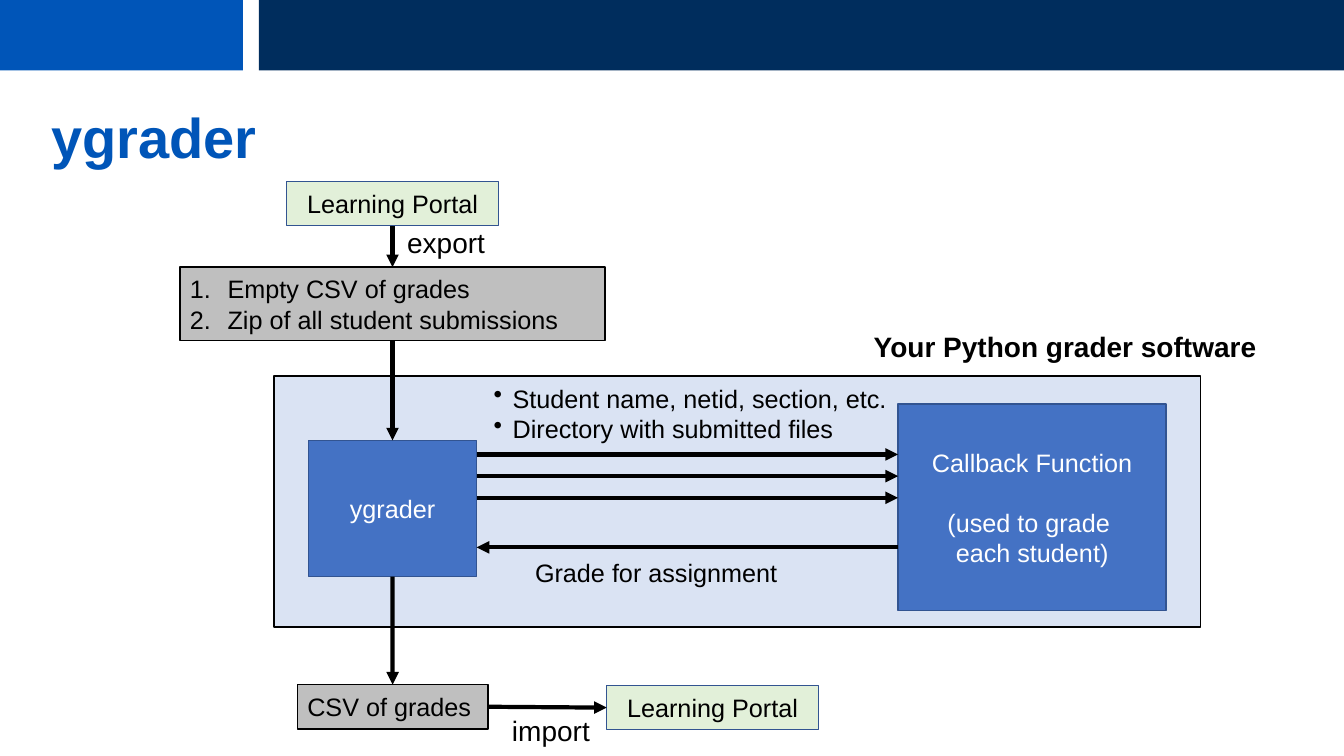
from dataclasses import dataclass

from lxml import etree
from pptx import Presentation, util as u
from pptx.dml.color import RGBColor
from pptx.enum import shapes, text
from pptx.oxml.ns import qn

BLACK, WHITE = "000000", "FFFFFF"
BRIGHT_BLUE, NAVY = "0055B8", "002D5D"
GREY, GREEN, PALE_BLUE, BLUE, EDGE = "BFBFBF", "E2F0D9", "DAE3F3", "4472C4", "325491"
LEFT, CENTER = text.PP_ALIGN.LEFT, text.PP_ALIGN.CENTER
TOP, BOTTOM, LEFT_SIDE, RIGHT_SIDE = 0, 2, 1, 3
NUMBERED = ("a:buAutoNum", "type", "arabicPeriod", 27)
BULLETED = ("a:buChar", "char", "•", 13.5)


@dataclass
class Box:
    name: str
    place: tuple[float, float, float, float]
    fill: str
    edge: str | None = None
    lines: tuple[str, ...] = ()
    color: str = BLACK
    align: text.PP_ALIGN = CENTER
    marker: tuple | None = None
    gap_before: tuple[float, ...] = ()


@dataclass
class Label:
    place: tuple[float, float, float, float]
    lines: tuple[str, ...]
    size: float = 18
    color: str = BLACK
    bold: bool = False
    marker: tuple | None = None
    title: bool = False


BOXES = [
    Box("left banner", (0, 0, 173.5, 50.4), BRIGHT_BLUE),
    Box("right banner", (185, 0, 775, 50.4), NAVY),
    Box("submissions", (128.5, 190.8, 303.8, 52.4), GREY, BLACK,
        ("Empty CSV of grades", "Zip of all student submissions"),
        align=LEFT, marker=NUMBERED),
    Box("software", (195.8, 268.6, 661.7, 179.3), PALE_BLUE, BLACK),
    Box("ygrader", (220.3, 314.6, 120.2, 97.2), BLUE, EDGE, ("ygrader",), WHITE),
    Box("callback", (641.5, 288.7, 191.5, 147.6), BLUE, EDGE,
        ("Callback Function", "(used to grade ", "each student)"), WHITE,
        gap_before=(0, 21, 0)),
    Box("import suite", (433.4, 489.6, 151.2, 31.7), GREEN, EDGE, ("Learning Portal",)),
    Box("grades", (212.4, 489, 136.1, 31.7), GREY, BLACK, ("CSV of grades",), align=LEFT),
    Box("export suite", (204.8, 129.6, 151.2, 31.7), GREEN, EDGE, ("Learning Portal",)),
]

LABELS = [
    Label((29.5, 74.9, 900.7, 50.4), ("ygrader",), 40, BRIGHT_BLUE, True, title=True),
    Label((283.7, 157.7, 70.6, 31.5), ("export",), 20),
    Label((358.6, 506.2, 70.6, 31.5), ("import",), 20),
    Label((345.6, 270, 297.4, 50.9),
          ("Student name, netid, section, etc.", "Directory with submitted files"),
          marker=BULLETED),
    Label((375.1, 394.6, 189.4, 29.1), ("Grade for assignment",)),
    Label((617, 231.8, 290.2, 31.5), ("Your Python grader software",), 20, bold=True),
]

FLOWS = [
    ("export suite", BOTTOM, "submissions", TOP),
    ("submissions", BOTTOM, "ygrader", TOP),
    ("ygrader", BOTTOM, "grades", TOP),
    ("grades", RIGHT_SIDE, "import suite", LEFT_SIDE),
]

YGRADER_EDGE, CALLBACK_EDGE = 340.5, 641.5
CALL_HEIGHTS = [324.6 + 15.5 * row for row in range(3)]
RETURN_HEIGHT = 391


def rgb(value: str) -> RGBColor:
    return RGBColor.from_string(value)


def points(values: tuple) -> list:
    return [u.Pt(value) for value in values]


def write_lines(frame, lines: tuple, size: float, color: str, bold: bool = False,
                align=LEFT, marker: tuple | None = None, gaps: tuple = ()) -> None:
    font_format = {"name": "Arial", "size": u.Pt(size), "bold": bold}
    for index, line in enumerate(lines):
        para = frame.paragraphs[0] if index == 0 else frame.add_paragraph()
        para.alignment = align
        if gaps:
            para.space_before = u.Pt(gaps[index])
        span = para.add_run()
        span.text = line
        for key, value in font_format.items():
            setattr(span.font, key, value)
        span.font.color.rgb = rgb(color)
        if marker:
            tag, key, value, indent = marker
            props = para._p.get_or_add_pPr()
            props.set("marL", str(u.Pt(indent)))
            props.set("indent", str(-u.Pt(indent)))
            etree.SubElement(props, qn(tag)).set(key, value)


def draw_box(page, box: Box):
    shape = page.shapes.add_shape(shapes.MSO_SHAPE.RECTANGLE, *points(box.place))
    shape.shadow.inherit = False
    shape.fill.solid()
    shape.fill.fore_color.rgb = rgb(box.fill)
    if box.edge:
        shape.line.color.rgb = rgb(box.edge)
        shape.line.width = u.Pt(1)
    else:
        shape.line.fill.background()
    shape.text_frame.vertical_anchor = text.MSO_ANCHOR.MIDDLE
    write_lines(shape.text_frame, box.lines, 18, box.color, align=box.align,
                marker=box.marker, gaps=box.gap_before)
    return shape


def draw_label(page, label: Label) -> None:
    frame = page.shapes.add_textbox(*points(label.place)).text_frame
    if label.title:
        frame_format = {"word_wrap": True, "vertical_anchor": text.MSO_ANCHOR.MIDDLE}
    else:
        frame_format = {"word_wrap": False,
                        "auto_size": text.MSO_AUTO_SIZE.SHAPE_TO_FIT_TEXT}
    for key, value in frame_format.items():
        setattr(frame, key, value)
    write_lines(frame, label.lines, label.size, label.color, label.bold,
                marker=label.marker)
    if label.title:
        frame.paragraphs[0].line_spacing = 0.9


def draw_arrow(page, ends: tuple = (0, 0, 0, 0)):
    arrow = page.shapes.add_connector(shapes.MSO_CONNECTOR.STRAIGHT, *points(ends))
    arrow.line.color.rgb = rgb(BLACK)
    arrow.line.width = u.Pt(3)
    etree.SubElement(arrow.line._get_or_add_ln(), qn("a:tailEnd")).set("type", "triangle")
    etree.SubElement(arrow._element.spPr, qn("a:effectLst"))
    return arrow


def main() -> None:
    deck = Presentation()
    deck.slide_width, deck.slide_height = u.Pt(960), u.Pt(540)
    page = deck.slides.add_slide(deck.slide_layouts[6])

    # Banners and boxes, back to front
    drawn = {box.name: draw_box(page, box) for box in BOXES}

    # Arrows joined to the boxes
    for source, source_side, target, target_side in FLOWS:
        arrow = draw_arrow(page)
        arrow.begin_connect(drawn[source], source_side)
        arrow.end_connect(drawn[target], target_side)

    # Calls to the callback, and the grade it returns
    for height in CALL_HEIGHTS:
        draw_arrow(page, (YGRADER_EDGE, height, CALLBACK_EDGE, height))
    draw_arrow(page, (CALLBACK_EDGE, RETURN_HEIGHT, YGRADER_EDGE, RETURN_HEIGHT))

    # Title and labels
    for label in LABELS:
        draw_label(page, label)

    deck.save("out.pptx")


if __name__ == "__main__":
    main()
